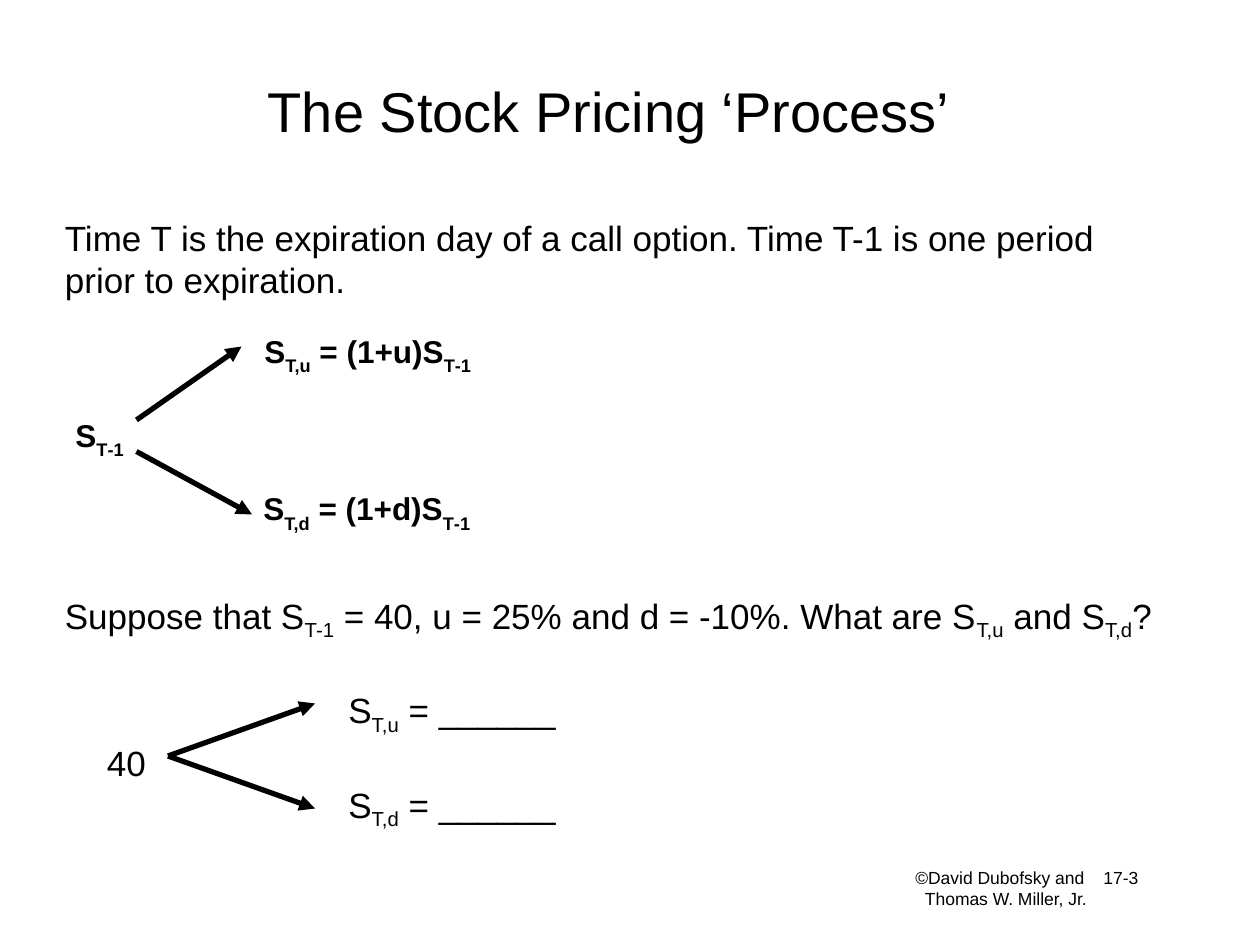
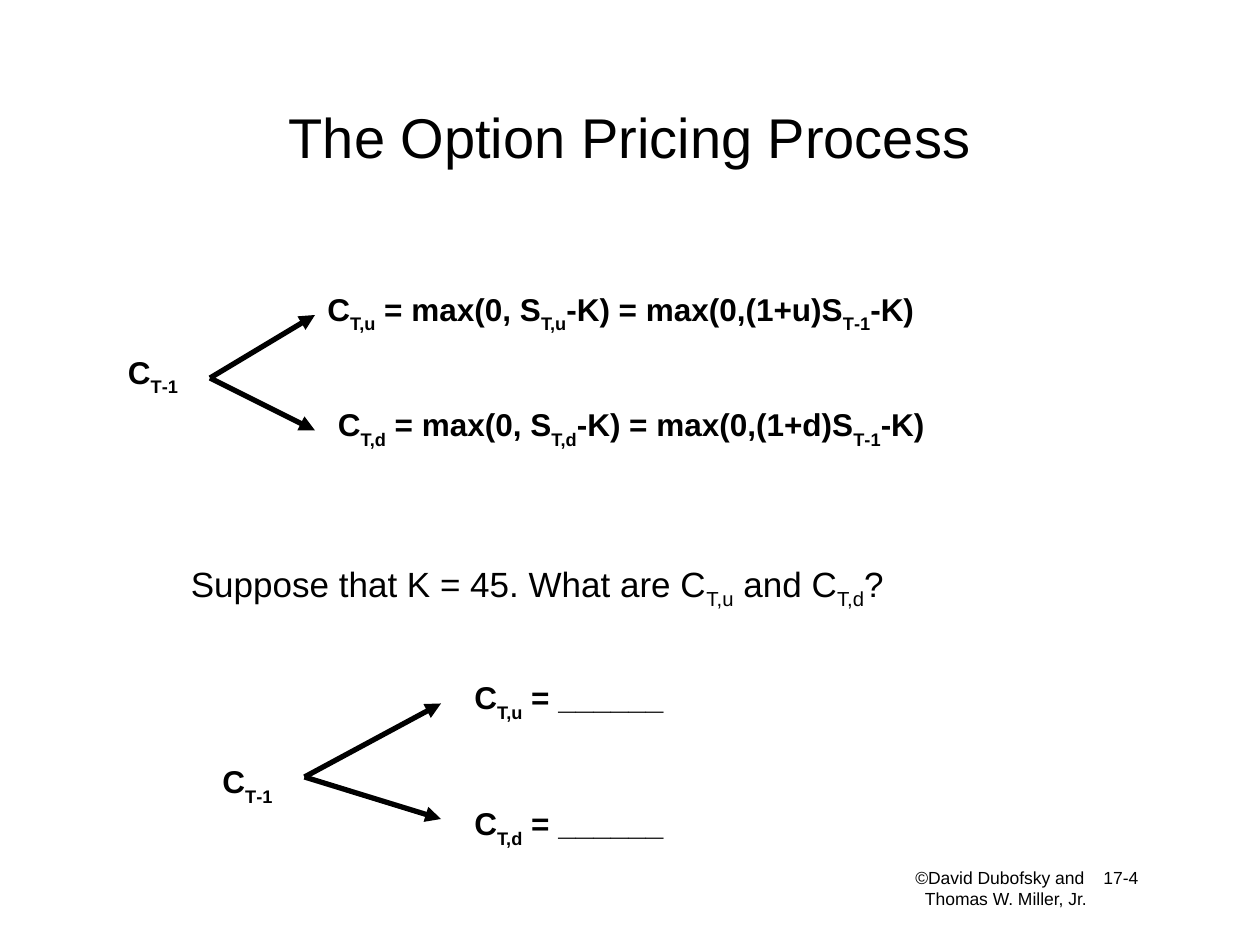
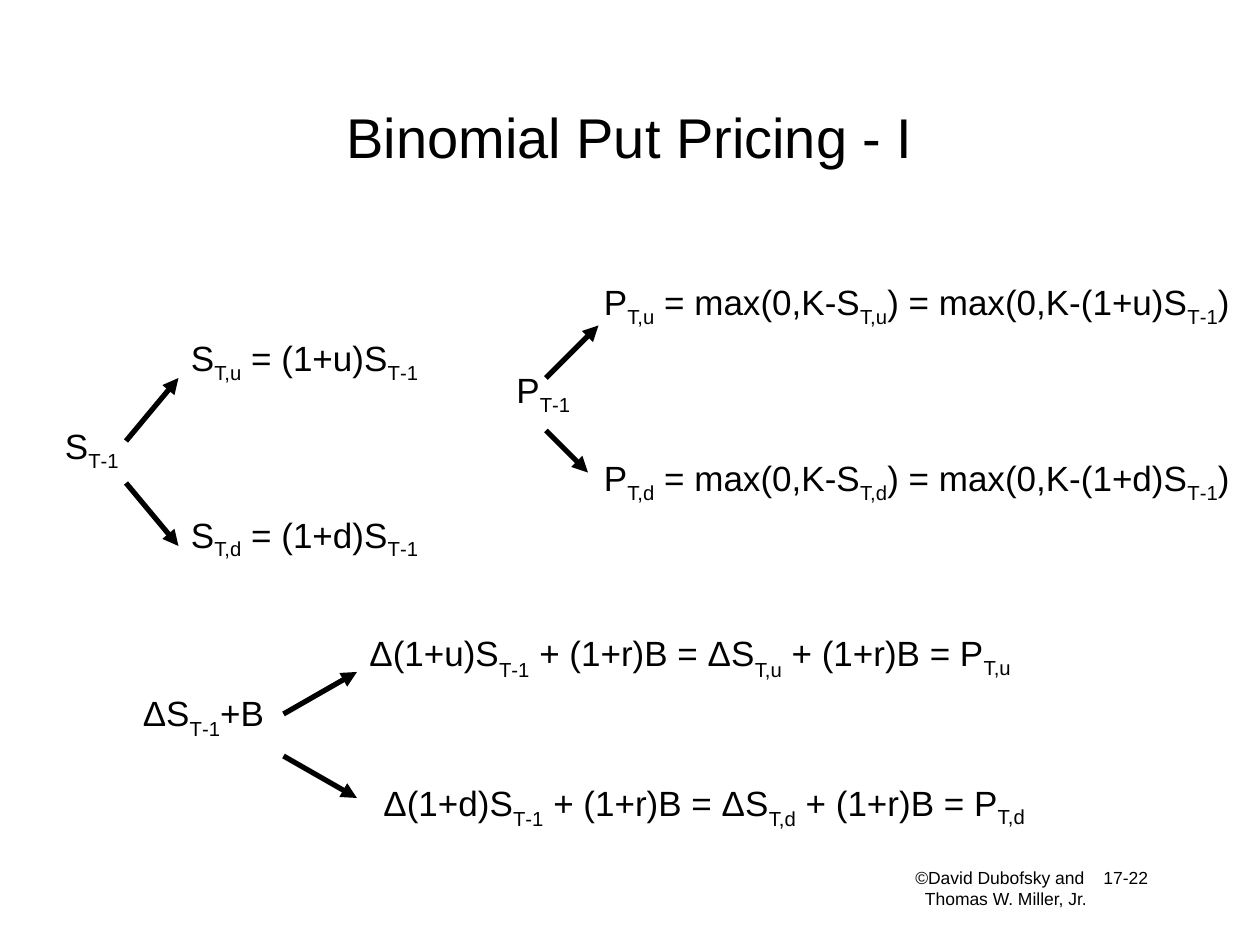
from dataclasses import dataclass

from lxml import etree
from pptx import Presentation
from pptx.dml.color import RGBColor
from pptx.enum import shapes, text
from pptx.oxml import ns
from pptx.util import Pt

COLORS = {"ink": "000000", "paper": "FFFFFF"}
FONT = "Arial"
TITLE_SIZE, BODY_SIZE, FORMULA_SIZE, FOOTER_SIZE = 32, 20, 18, 10
ARROW_WIDTH = 3
TREE_GAP = 23  # space between the branches written in one box
PAGE_TAB = 107.5

# Subscripts in the wording: [shallow] and {deep}
SUBSCRIPTS = {"[": -25000, "{": -30000}


@dataclass(frozen=True)
class Line:
    wording: str
    indent: float = 0
    before: float = 0
    tab: float = 0


@dataclass(frozen=True)
class Label:
    left: float
    top: float
    width: float
    height: float
    lines: tuple[Line, ...]
    size: float = BODY_SIZE
    bold: bool = False


@dataclass(frozen=True)
class Arrow:
    x1: float
    y1: float
    x2: float
    y2: float


@dataclass(frozen=True)
class Page:
    title: str
    title_box: tuple[float, float, float, float]
    number: str
    labels: tuple[Label, ...]
    arrows: tuple[Arrow, ...]


def body(left: float, top: float, width: float, wording: str,
         height: float = 34.5) -> Label:
    return Label(left, top, width, height, (Line(wording),))


def formula(left: float, top: float, width: float, wording: str,
            indent: float = 0) -> Label:
    return Label(left, top, width, 33, (Line(wording, indent),),
                 FORMULA_SIZE, True)


def fork(x: float, y: float, up: tuple[float, float],
         down: tuple[float, float]) -> tuple[Arrow, Arrow]:
    return Arrow(x, y, *up), Arrow(x, y, *down)


# Text
def split_subscripts(wording: str) -> list[tuple[str, int]]:
    pieces, current, depth = [], "", 0
    for letter in wording:
        if letter in "[]{}":
            if current:
                pieces.append((current, depth))
            current, depth = "", SUBSCRIPTS.get(letter, 0)
        else:
            current += letter
    return pieces + [(current, depth)] if current else pieces


def write_line(paragraph, line: Line, size: float, bold: bool = False) -> None:
    if line.before:
        paragraph.space_before = Pt(line.before)
    properties = paragraph._p.get_or_add_pPr()
    if line.indent:
        properties.set("marL", str(Pt(line.indent)))
        properties.set("indent", "0")
    if line.tab:
        stops = etree.SubElement(properties, ns.qn("a:tabLst"))
        etree.SubElement(stops, ns.qn("a:tab"), pos=str(Pt(line.tab)), algn="l")
    for piece, depth in split_subscripts(line.wording):
        run = paragraph.add_run()
        run.text = piece
        run.font.name = FONT
        run.font.size = Pt(size)
        run.font.bold = bold
        run.font.color.rgb = RGBColor.from_string(COLORS["ink"])
        if depth:
            run._r.get_or_add_rPr().set("baseline", str(depth))


def draw_label(slide, label: Label, grow: bool = True) -> None:
    box = slide.shapes.add_textbox(Pt(label.left), Pt(label.top),
                                   Pt(label.width), Pt(label.height))
    frame = box.text_frame
    frame.word_wrap = True
    if grow:
        frame.auto_size = text.MSO_AUTO_SIZE.SHAPE_TO_FIT_TEXT
    for index, line in enumerate(label.lines):
        paragraph = frame.add_paragraph() if index else frame.paragraphs[0]
        write_line(paragraph, line, label.size, label.bold)


# Parts of a slide
def draw_title(slide, page: Page) -> None:
    title = slide.shapes.title
    title.left, title.top, title.width, title.height = map(Pt, page.title_box)
    frame = title.text_frame
    frame.auto_size = text.MSO_AUTO_SIZE.NONE
    frame.vertical_anchor = text.MSO_ANCHOR.MIDDLE
    frame.paragraphs[0].alignment = text.PP_ALIGN.CENTER
    write_line(frame.paragraphs[0], Line(page.title), TITLE_SIZE)


def draw_footer(slide, number: str) -> None:
    lines = (Line(f"©David Dubofsky and\t{number}", tab=PAGE_TAB),
             Line("Thomas W. Miller, Jr.", indent=5.5))
    draw_label(slide, Label(516, 492, 150, 36, lines, FOOTER_SIZE), grow=False)


def draw_arrow(slide, arrow: Arrow) -> None:
    branch = slide.shapes.add_connector(
        shapes.MSO_CONNECTOR.STRAIGHT,
        Pt(arrow.x1), Pt(arrow.y1), Pt(arrow.x2), Pt(arrow.y2))
    branch.line.color.rgb = RGBColor.from_string(COLORS["ink"])
    branch.line.width = Pt(ARROW_WIDTH)
    etree.SubElement(branch.line._get_or_add_ln(), ns.qn("a:tailEnd"),
                     type="triangle")
    etree.SubElement(branch._element.spPr, ns.qn("a:effectLst"))


# Content
STOCK = Page(
    "The Stock Pricing ‘Process’", (42, 18, 612, 90), "17-3",
    labels=(
        body(30, 120, 636, "Time T is the expiration day of a call option. "
             "Time T-1 is one period prior to expiration.", 55.5),
        formula(36, 234, 54, "S{T‑1}"),
        formula(144, 186, 150, "S{T,u} = (1+u)S{T‑1}"),
        formula(138, 276, 150, "S{T,d} = (1+d)S{T‑1}", indent=5.5),
        body(30, 336, 660, "Suppose that S[T-1] = 40, u = 25% and d = -10%. "
             "What are S[T,u] and S[T,d]?"),
        body(54, 420, 60, "40", 32),
        body(192, 390, 210, "S[T,u] = ______"),
        body(192, 444, 210, "S[T,d] = ______"),
    ),
    arrows=(
        Arrow(78, 240, 138, 198), Arrow(78, 258, 144, 294),
        *fork(96, 432, (180, 402), (180, 462)),
    ),
)

OPTION = Page(
    "The Option Pricing Process", (54, 30, 612, 96), "17-4",
    labels=(
        formula(66, 198, 48, "C{T‑1}"),
        formula(180, 162, 378,
                "C{T,u} = max(0, S{T,u}‑K) = max(0,(1+u)S{T‑1}‑K)"),
        formula(186, 228, 390,
                "C{T,d} = max(0, S{T,d}‑K) = max(0,(1+d)S{T‑1}‑K)"),
        body(102, 318, 546, "Suppose that K = 45. What are C[T,u] and C[T,d]?"),
        formula(120, 432, 48, "C{T‑1}"),
        formula(264, 384, 132, "C{T,u} = ______"),
        formula(264, 456, 174, "C{T,d} = ______"),
    ),
    arrows=(
        *fork(120, 216, (180, 180), (180, 246)),
        *fork(174, 444, (252, 402), (252, 468)),
    ),
)

PUT = Page(
    "Binomial Put Pricing - I", (54, 30, 612, 96), "17-22",
    labels=(
        Label(30, 189, 306, 162, (
            Line("S[T,u] = (1+u)S[T‑1]", 72),
            Line("S[T‑1]", before=TREE_GAP),
            Line("S[T,d] = (1+d)S[T‑1]", 72, TREE_GAP))),
        Label(288, 157, 432, 137.5, (
            Line("P[T,u] = max(0,K-S[T,u]) = max(0,K-(1+u)S[T‑1])", 50),
            Line("P[T‑1]", before=TREE_GAP),
            Line("P[T,d] = max(0,K-S[T,d]) = max(0,K-(1+d)S[T‑1])", 50,
                 TREE_GAP))),
        body(204, 357.5, 432,
             "Δ(1+u)S{T‑1} + (1+r)B = ΔS{T,u} + (1+r)B = P[T,u]"),
        Label(24, 391.5, 588, 88, (
            Line("ΔS{T‑1}+B", 50.5),
            Line("Δ(1+d)S{T‑1} + (1+r)B = ΔS{T,d} + (1+r)B = P[T,d]", 188,
                 TREE_GAP))),
    ),
    arrows=(
        Arrow(72, 252, 102, 216), Arrow(72, 276, 102, 312),
        Arrow(312, 216, 342, 186), Arrow(312, 246, 336, 270),
        Arrow(162, 408, 204, 384), Arrow(162, 432, 204, 456),
    ),
)


def main() -> None:
    deck = Presentation()
    deck.slide_width, deck.slide_height = Pt(720), Pt(540)
    title_only = deck.slide_layouts[5]
    for page in (STOCK, OPTION, PUT):
        slide = deck.slides.add_slide(title_only)
        slide.background.fill.solid()
        slide.background.fill.fore_color.rgb = RGBColor.from_string(COLORS["paper"])
        draw_title(slide, page)
        draw_footer(slide, page.number)
        for arrow in page.arrows:
            draw_arrow(slide, arrow)
        for label in page.labels:
            draw_label(slide, label)
    deck.save("out.pptx")


if __name__ == "__main__":
    main()
